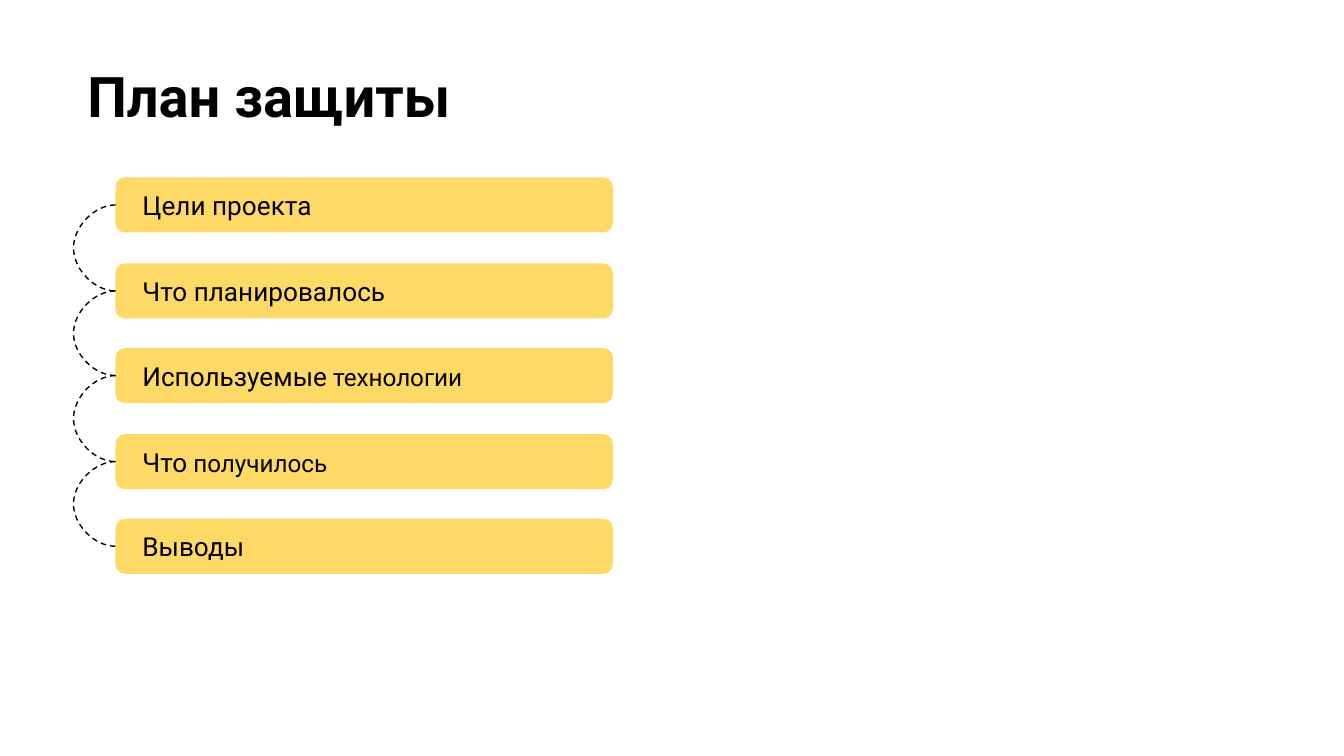
from dataclasses import dataclass

from lxml import etree
from pptx import Presentation, util as u
from pptx.dml.color import RGBColor
from pptx.enum import dml, shapes, text
from pptx.oxml.ns import qn


@dataclass(frozen=True)
class Theme:
    font: str = "Roboto"
    ink: RGBColor = RGBColor(0, 0, 0)
    soft_ink: RGBColor = RGBColor(5, 5, 5)
    bar: RGBColor = RGBColor(0xFF, 0xD9, 0x66)
    title_size: u.Pt = u.Pt(30)
    item_size: u.Pt = u.Pt(14)
    small_size: u.Pt = u.Pt(13)
    line_width: u.Pt = u.Pt(0.75)


theme = Theme()


def set_margins(frame, side):
    frame.margin_left = frame.margin_right = u.Inches(side)
    frame.margin_top = frame.margin_bottom = u.Inches(0.1)


presentation = Presentation()
presentation.slide_width = u.Inches(10)
presentation.slide_height = u.Inches(10) * 9 // 16
slide = presentation.slides.add_slide(presentation.slide_layouts[5])

title = slide.shapes.title
title.left, title.top = u.Inches(0.55), u.Inches(0.36)
title.width, title.height = u.Inches(9.32), u.Inches(1.2)
title.text = "План защиты"
set_margins(title.text_frame, 0.1)
title.text_frame.vertical_anchor = text.MSO_ANCHOR.TOP
title.text_frame.auto_size = text.MSO_AUTO_SIZE.NONE
paragraph = title.text_frame.paragraphs[0]
paragraph.alignment = text.PP_ALIGN.LEFT
paragraph.font.name = theme.font
paragraph.font.size = theme.title_size
paragraph.font.bold = True
paragraph.font.color.rgb = theme.ink

# Each item: top, main words, smaller ending, colour of the ending
items = [
    (1.32, "Цели проекта", "", theme.ink),
    (1.96, "Что планировалось", "", theme.ink),
    (2.59, "Используемые", " технологии", theme.ink),
    (3.23, "Что", " получилось", theme.soft_ink),
    (3.86, "Выводы", "", theme.ink),
]

bars = []
for top, main_words, ending, ending_color in items:
    bar = slide.shapes.add_shape(
        shapes.MSO_SHAPE.ROUNDED_RECTANGLE,
        u.Inches(0.86), u.Inches(top), u.Inches(3.7), u.Inches(0.41))
    bar.adjustments[0] = 0.17
    bar.shadow.inherit = False
    bar.fill.solid()
    bar.fill.fore_color.rgb = theme.bar
    bar.line.fill.background()
    set_margins(bar.text_frame, 0.18)
    bar.text_frame.word_wrap = True
    bar.text_frame.vertical_anchor = text.MSO_ANCHOR.MIDDLE
    paragraph = bar.text_frame.paragraphs[0]
    paragraph.alignment = text.PP_ALIGN.LEFT
    paragraph.font.name = theme.font
    paragraph.font.size = theme.item_size
    paragraph.font.color.rgb = theme.ink
    paragraph.add_run().text = main_words
    if ending:
        run = paragraph.add_run()
        run.text = ending
        run.font.size = theme.small_size
        run.font.color.rgb = ending_color
    bars.append(bar)

# The bend is a multiple of the connector's width, so the width must not be zero
bend_width = u.Emu(600)
for upper, lower in zip(bars, bars[1:]):
    link = slide.shapes.add_connector(shapes.MSO_CONNECTOR.CURVE, 0, 0, 0, 0)
    link.begin_connect(upper, 1)
    link.end_connect(lower, 1)
    link.begin_x = upper.left + bend_width
    link.line.color.rgb = theme.ink
    link.line.width = theme.line_width
    link.line.dash_style = dml.MSO_LINE.DASH
    properties = link._element.spPr
    etree.SubElement(properties, qn("a:effectLst"))
    guides = properties.find(qn("a:prstGeom")).get_or_add_avLst()
    etree.SubElement(guides, qn("a:gd"), name="adj1", fmla="val 39787500")

presentation.save("out.pptx")
